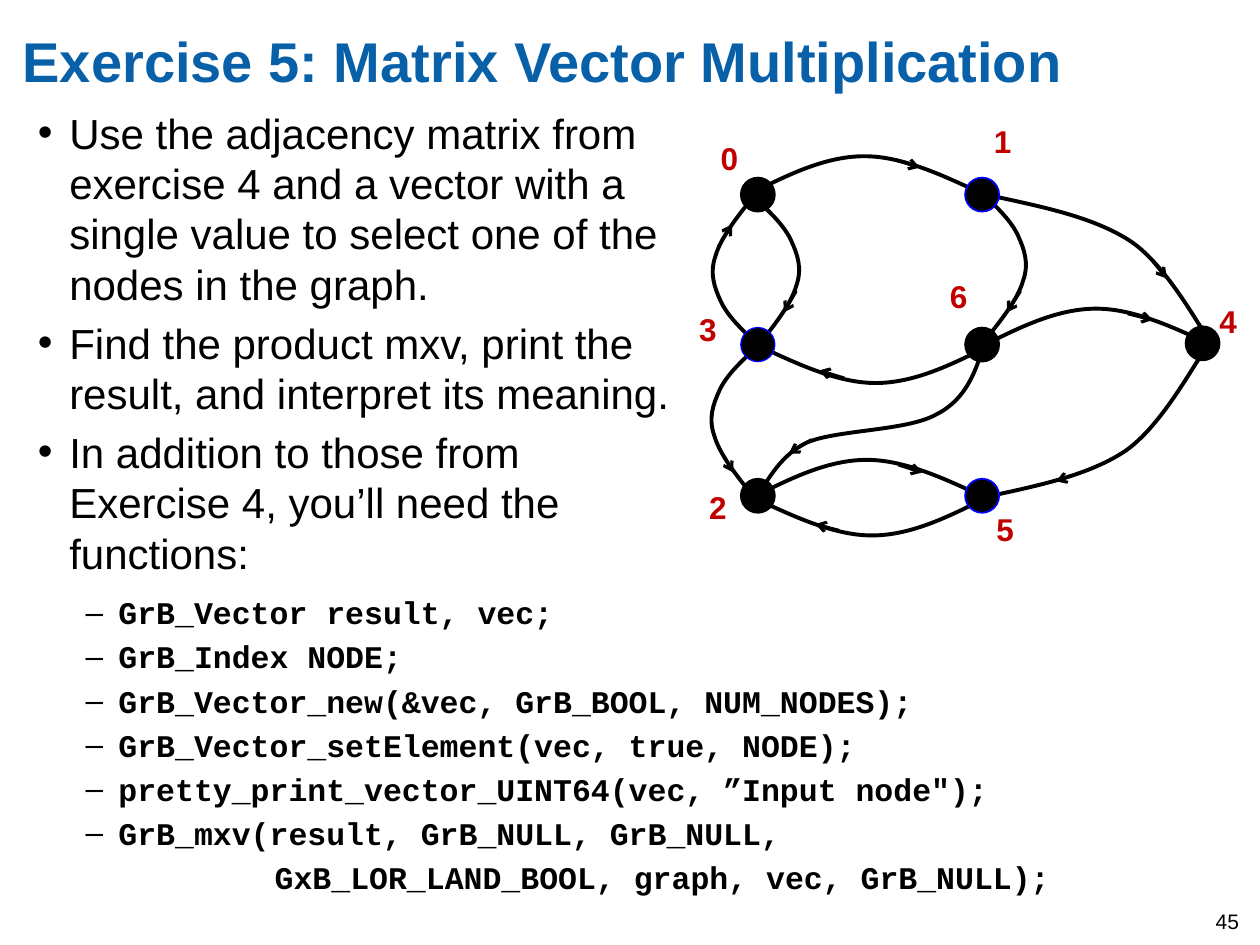
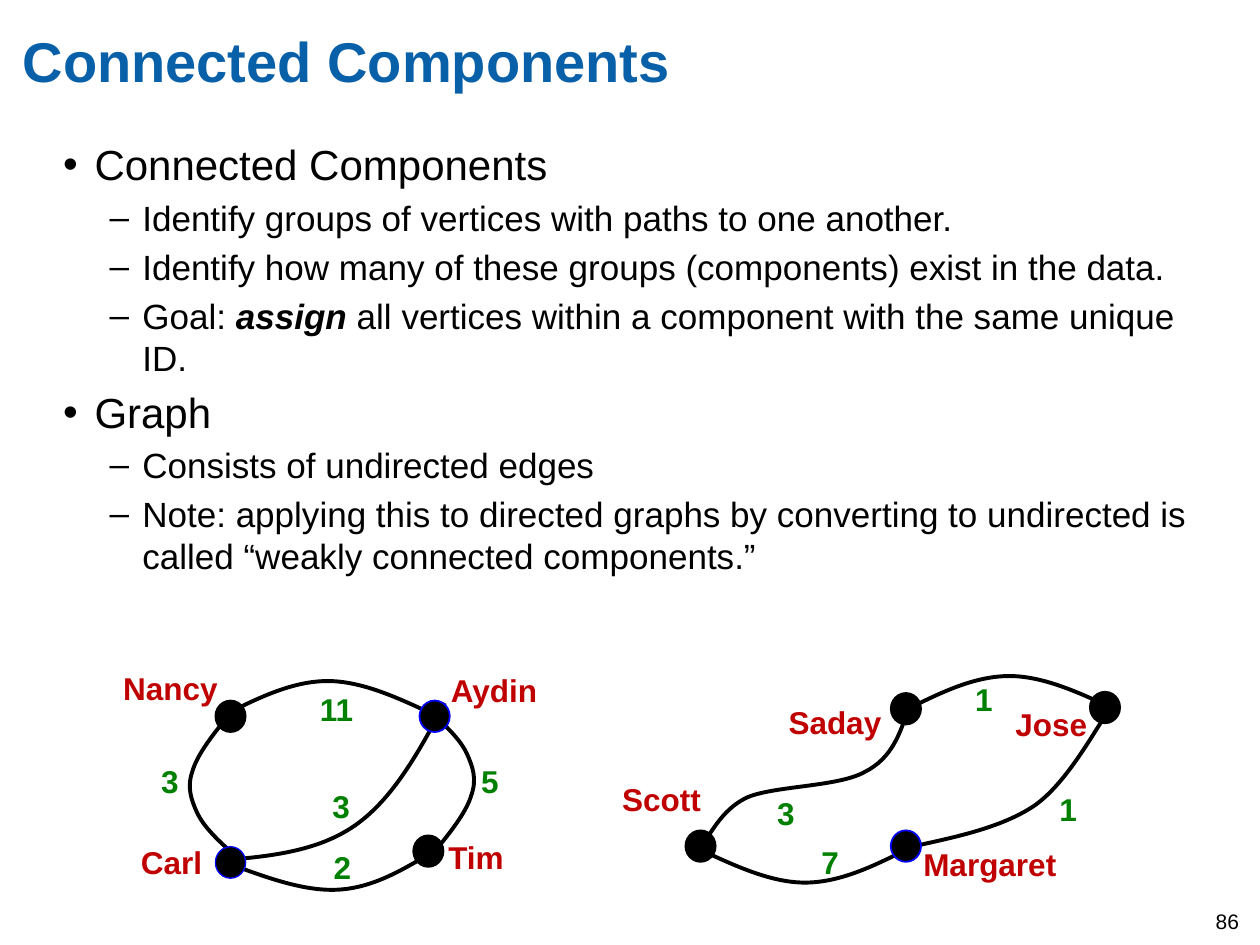
from lxml import etree
from pptx import Presentation
from pptx.dml.color import RGBColor
from pptx.enum import shapes, text
from pptx.oxml.ns import qn
from pptx.util import Inches, Pt

COLORS = {"title": "0860A8", "ink": "000000", "name": "C00000",
          "weight": "008000", "ring": "0000FF"}
SMALL = 0.91

# Bezier offsets from the start of an edge, three per segment
BENDS = {
    "arch": [(.28, -.14), (.57, -.28), (.87, -.28),
             (1.17, -.28), (1.49, -.13), (1.81, .02)],
    "side": [(-.11, -.1), (-.22, -.21), (-.27, -.32),
             (-.32, -.43), (-.36, -.54), (-.31, -.68),
             (-.27, -.82), (-.14, -.99), (0, -1.16)],
    "stem": [(.07, -.06), (.16, -.3), (.4, -.41),
             (.64, -.51), (1.19, -.5), (1.42, -.63),
             (1.66, -.75), (1.73, -.97), (1.8, -1.18)],
    "sweep": [(-.11, .15), (-.36, .63), (-.65, .83),
              (-.95, 1.03), (-1.37, 1.11), (-1.78, 1.2)],
    "chord": [(.4, -.03), (.79, -.07), (1.09, -.28),
              (1.39, -.49), (1.6, -.87), (1.8, -1.25)],
    "tilt": [(-.25, .15), (-.49, .3), (-.77, .32),
             (-1.04, .34), (-1.34, .23), (-1.64, .12)],
}
# level: (left margin, first-line indent, bullet, size, font, bold)
LEVELS = {
    "point": (.25, -.25, "•", 24, "Arial", False),
    "detail": (.63, -.26, "–", 20, "Arial", False),
    "code": (.63, -.26, "–", 18, "Courier New", True),
    "code_rest": (1.87, 0, None, 18, "Courier New", True),
}


def rgb(key):
    """Return the named colour."""
    return RGBColor.from_string(COLORS[key])


def style(font, size, color, bold=False, face="Arial"):
    """Format a font."""
    font.name, font.size, font.bold = face, Pt(size), bold
    font.color.rgb = rgb(color)


def add_frame(slide, left, top, width, height, flush=False):
    """Add a wrapping text box, without margins if flush, and return its frame."""
    frame = slide.shapes.add_textbox(
        Inches(left), Inches(top), Inches(width), Inches(height)).text_frame
    frame.word_wrap = True
    if flush:
        frame.margin_left = frame.margin_right = 0
        frame.margin_top = frame.margin_bottom = 0
    return frame


def add_base(prs, heading, number):
    """Add a slide with its title and page number."""
    slide = prs.slides.add_slide(prs.slide_layouts[6])
    title = add_frame(slide, .18, .21, 9.82, .97, flush=True)
    title.text = heading
    style(title.paragraphs[0].runs[0].font, 32, "title", True)
    page = add_frame(slide, 9.55, 7.16, .45, .33)
    page.text = number
    style(page.paragraphs[0].runs[0].font, 12, "ink")
    return slide


def add_outline(slide, place, items):
    """Add bulleted (level, content) items; asterisks enclose emphasis."""
    frame = add_frame(slide, *place, flush=True)
    for index, (level, content) in enumerate(items):
        margin, indent, bullet, size, face, bold = LEVELS[level]
        para = frame.add_paragraph() if index else frame.paragraphs[0]
        props = para._p.get_or_add_pPr()
        props.set("marL", str(Inches(margin)))
        props.set("indent", str(Inches(indent)))
        if bullet:
            etree.SubElement(props, qn("a:buFont"), typeface="Arial")
            etree.SubElement(props, qn("a:buChar"), char=bullet)
        if index:
            para.space_before = Pt(size * .2)
        for part, piece in enumerate(content.split("*")):
            run = para.add_run()
            run.text = piece
            emphasis = part % 2 == 1
            style(run.font, size, "ink", bold or emphasis, face)
            run.font.italic = emphasis


def add_edge(slide, bend, x, y, sx=1, sy=1):
    """Draw a named bend from (x, y), scaled or mirrored by sx and sy."""
    points = [(Inches(x + dx * sx), Inches(y + dy * sy)) for dx, dy in BENDS[bend]]
    builder = slide.shapes.build_freeform(Inches(x), Inches(y))
    builder.add_line_segments(points, close=False)
    edge = builder.convert_to_shape()
    edge.shadow.inherit = False
    edge.fill.background()
    edge.line.color.rgb = rgb("ink")
    edge.line.width = Pt(2.25)
    route = edge.element.find(".//" + qn("a:path"))
    steps = route.findall(qn("a:lnTo"))
    for start in range(0, len(steps), 3):
        curve = etree.SubElement(route, qn("a:cubicBezTo"))
        for step in steps[start:start + 3]:
            curve.append(step[0])
            route.remove(step)


def add_arrow(slide, x1, y1, x2, y2):
    """Draw a short arrow that marks the direction of an edge."""
    arrow = slide.shapes.add_connector(
        shapes.MSO_CONNECTOR.STRAIGHT, Inches(x1), Inches(y1), Inches(x2), Inches(y2))
    arrow.line.color.rgb = rgb("ink")
    arrow.line.width = Pt(1.75)
    etree.SubElement(arrow.line._get_or_add_ln(), qn("a:tailEnd"), type="arrow")
    etree.SubElement(arrow.element.spPr, qn("a:effectLst"))


def add_node(slide, x, y, width, height, ring="ink", weight=1):
    """Draw a graph node with a coloured ring."""
    node = slide.shapes.add_shape(
        shapes.MSO_SHAPE.OVAL, Inches(x), Inches(y), Inches(width), Inches(height))
    node.shadow.inherit = False
    node.fill.solid()
    node.fill.fore_color.rgb = rgb("ink")
    node.line.color.rgb = rgb(ring)
    node.line.width = Pt(weight)


def add_label(slide, content, x, y, width, height=.4, color="name"):
    """Write a bold label of a node or an edge."""
    frame = add_frame(slide, x, y, width, height)
    frame.word_wrap = False
    frame.auto_size = text.MSO_AUTO_SIZE.NONE
    frame.text = content
    style(frame.paragraphs[0].runs[0].font, 18, color, True)


def build_exercise(prs):
    """Build the matrix vector exercise."""
    slide = add_base(prs, "Exercise 5: Matrix Vector Multiplication", "45")
    add_outline(slide, (.3, .85, 5.15, 3.6), [
        ("point", "Use the adjacency matrix from exercise 4 and a vector with a "
                  "single value to select one of the nodes in the graph."),
        ("point", "Find the product mxv, print the result, and interpret its meaning."),
        ("point", "In addition to those from Exercise 4, you’ll need the functions:"),
    ])
    for edge in [
        ("side", 5.99, 2.71), ("side", 6.01, 1.59, -1, -1),
        ("side", 5.98, 2.78, 1, -1), ("side", 7.81, 1.55, -1, -1),
        ("arch", 5.99, 1.52), ("arch", 7.83, 2.73), ("arch", 6.01, 3.93),
        ("arch", 7.79, 3.97, -1, -1), ("arch", 7.82, 2.76, -1, -1),
        ("stem", 6.01, 3.92), ("sweep", 9.58, 2.75), ("sweep", 9.63, 2.75, 1, -1),
    ]:
        add_edge(slide, *edge)
    for arrow in [
        (5.7, 1.96, 5.81, 1.78), (6.32, 2.31, 6.22, 2.48), (7.11, 1.27, 7.3, 1.33),
        (6.44, 3.49, 6.26, 3.6), (8.95, 2.49, 9.15, 2.54), (7.13, 3.69, 7.32, 3.75),
        (6.66, 4.21, 6.47, 4.16), (6.7, 3, 6.5, 2.94), (5.72, 3.58, 5.82, 3.75),
        (8.1, 2.31, 7.99, 2.48), (8.58, 3.75, 8.38, 3.82), (9.13, 2.05, 9.26, 2.21),
    ]:
        add_arrow(slide, *arrow)
    for x, y, *ring in [
        (5.88, 1.41), (7.66, 3.8, "ring"), (7.66, 1.41, "ring"), (7.66, 2.6),
        (9.41, 2.59), (5.88, 2.6, "ring", .75), (5.88, 3.8),
    ]:
        add_node(slide, x, y, .27, .27, *ring)
    spots = [(5.62, 1.05), (7.79, .92), (5.53, 3.82), (5.45, 2.41),
             (9.58, 2.35), (7.81, 4), (7.44, 2.15)]
    for number, (x, y) in enumerate(spots):
        add_label(slide, str(number), x, y, .38, .45)
    add_outline(slide, (.31, 4.71, 9.52, 2.67), [
        ("code", "GrB_Vector result, vec;"),
        ("code", "GrB_Index NODE;"),
        ("code", "GrB_Vector_new(&vec, GrB_BOOL, NUM_NODES);"),
        ("code", "GrB_Vector_setElement(vec, true, NODE);"),
        ("code", 'pretty_print_vector_UINT64(vec, ”Input node");'),
        ("code", "GrB_mxv(result, GrB_NULL, GrB_NULL,"),
        ("code_rest", "GxB_LOR_LAND_BOOL, graph, vec, GrB_NULL);"),
    ])


def build_components(prs):
    """Build the connected components explanation."""
    slide = add_base(prs, "Connected Components", "86")
    add_outline(slide, (.5, 1.1, 9.05, 5.29), [
        ("point", "Connected Components"),
        ("detail", "Identify groups of vertices with paths to one another."),
        ("detail", "Identify how many of these groups (components) exist in the data."),
        ("detail", "Goal: *assign* all vertices within a component with the same unique ID."),
        ("point", "Graph"),
        ("detail", "Consists of undirected edges"),
        ("detail", "Note: applying this to directed graphs by converting to undirected "
                   "is called “weakly connected components.”"),
    ])
    for edge in [
        ("side", 1.81, 6.74, SMALL, SMALL), ("side", 3.46, 5.69, -SMALL, -SMALL),
        ("arch", 1.81, 5.66, SMALL, SMALL), ("arch", 7.22, 5.62, SMALL, SMALL),
        ("arch", 7.18, 6.75, -SMALL, -SMALL), ("stem", 5.57, 6.7, SMALL, SMALL),
        ("sweep", 8.8, 5.64, SMALL, SMALL), ("tilt", 3.47, 6.74), ("chord", 1.73, 6.83),
    ]:
        add_edge(slide, *edge)
    for x, y, *ring in [
        (1.71, 5.56), (3.33, 5.56, "ring"), (1.71, 6.72, "ring", .75), (3.28, 6.63),
        (7.07, 6.59, "ring"), (7.07, 5.5), (8.65, 5.49), (5.44, 6.59),
    ]:
        add_node(slide, x, y, .24, .25, *ring)
    for person in [
        ("Carl", 1.02, 6.64, .69), ("Nancy", .88, 5.26, .96), ("Aydin", 3.48, 5.28, .89),
        ("Tim", 3.46, 6.6, .65), ("Margaret", 7.23, 6.66, 1.27),
        ("Jose", 7.96, 5.55, .78), ("Scott", 4.84, 6.14, .83), ("Saday", 6.16, 5.53, .95),
    ]:
        add_label(slide, *person)
    for weight, x, y in [
        ("5", 3.72, 6), ("2", 2.55, 6.68), ("11", 2.44, 5.43), ("3", 1.18, 6),
        ("3", 2.54, 6.2), ("3", 6.07, 6.25), ("1", 8.31, 6.22), ("7", 6.42, 6.64),
        ("1", 7.64, 5.35),
    ]:
        add_label(slide, weight, x, y, .2 + .14 * len(weight), color="weight")


def main():
    """Build and save the presentation."""
    prs = Presentation()
    prs.slide_width, prs.slide_height = Inches(10), Inches(7.5)
    build_exercise(prs)
    build_components(prs)
    prs.save("out.pptx")


if __name__ == "__main__":
    main()
